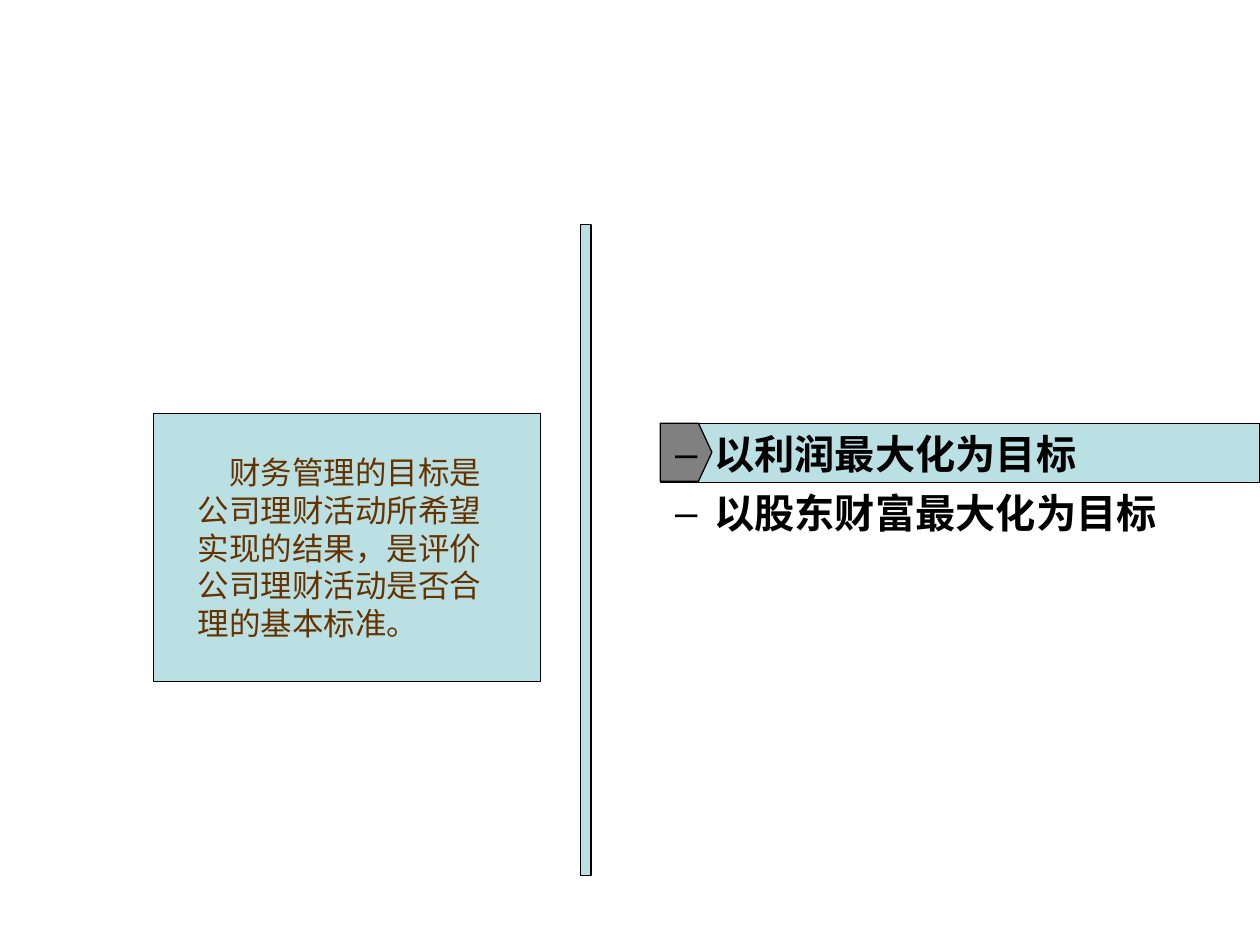
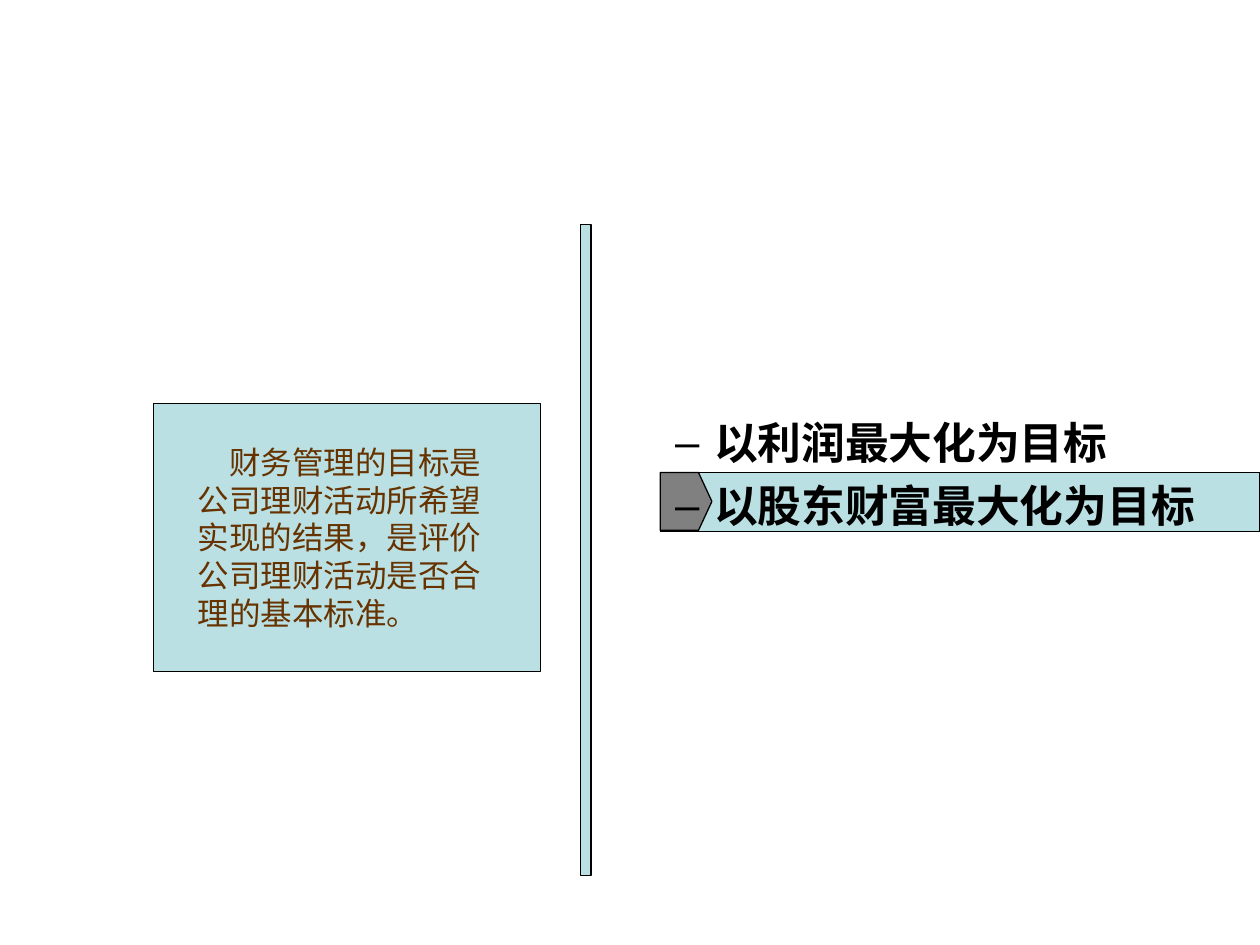
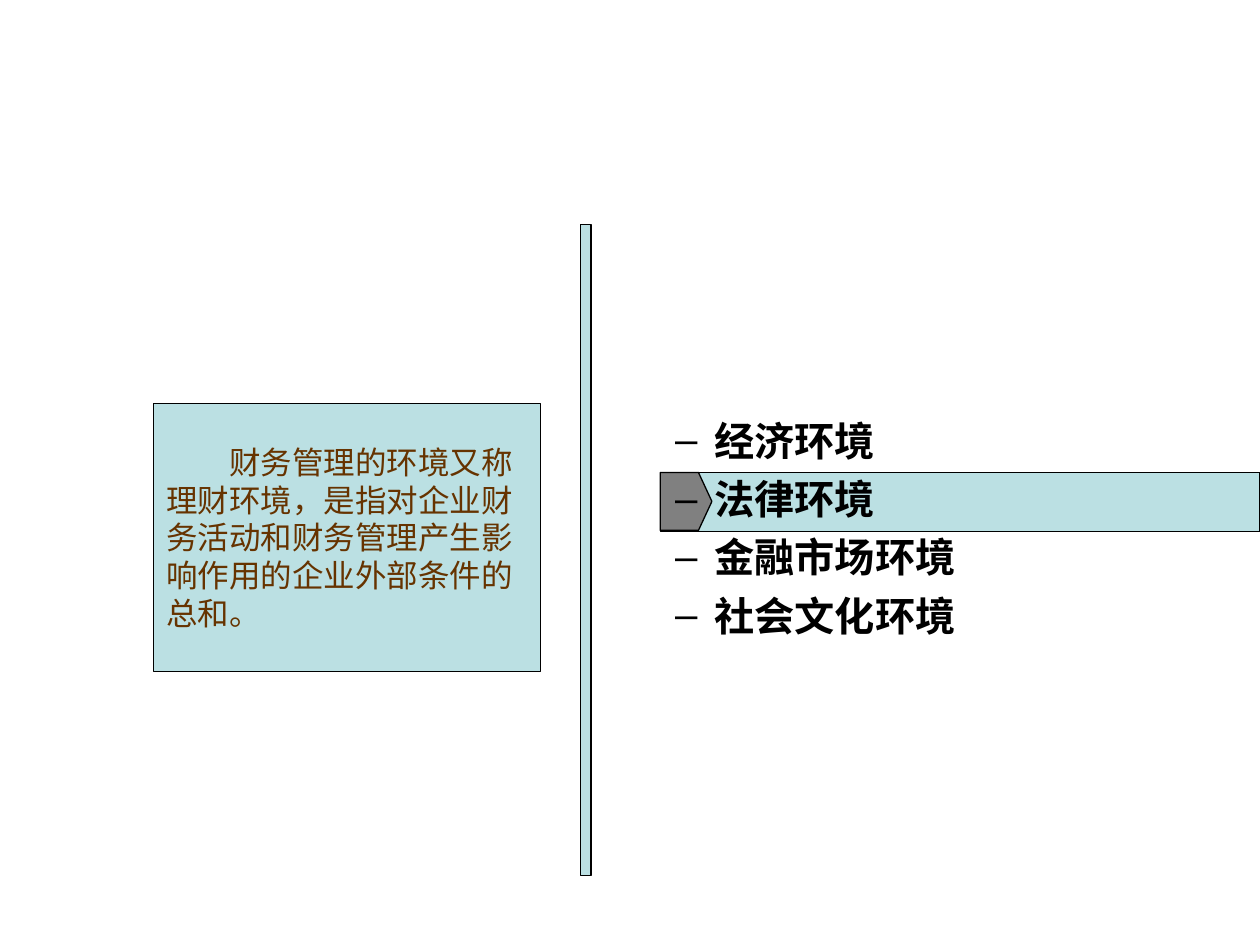
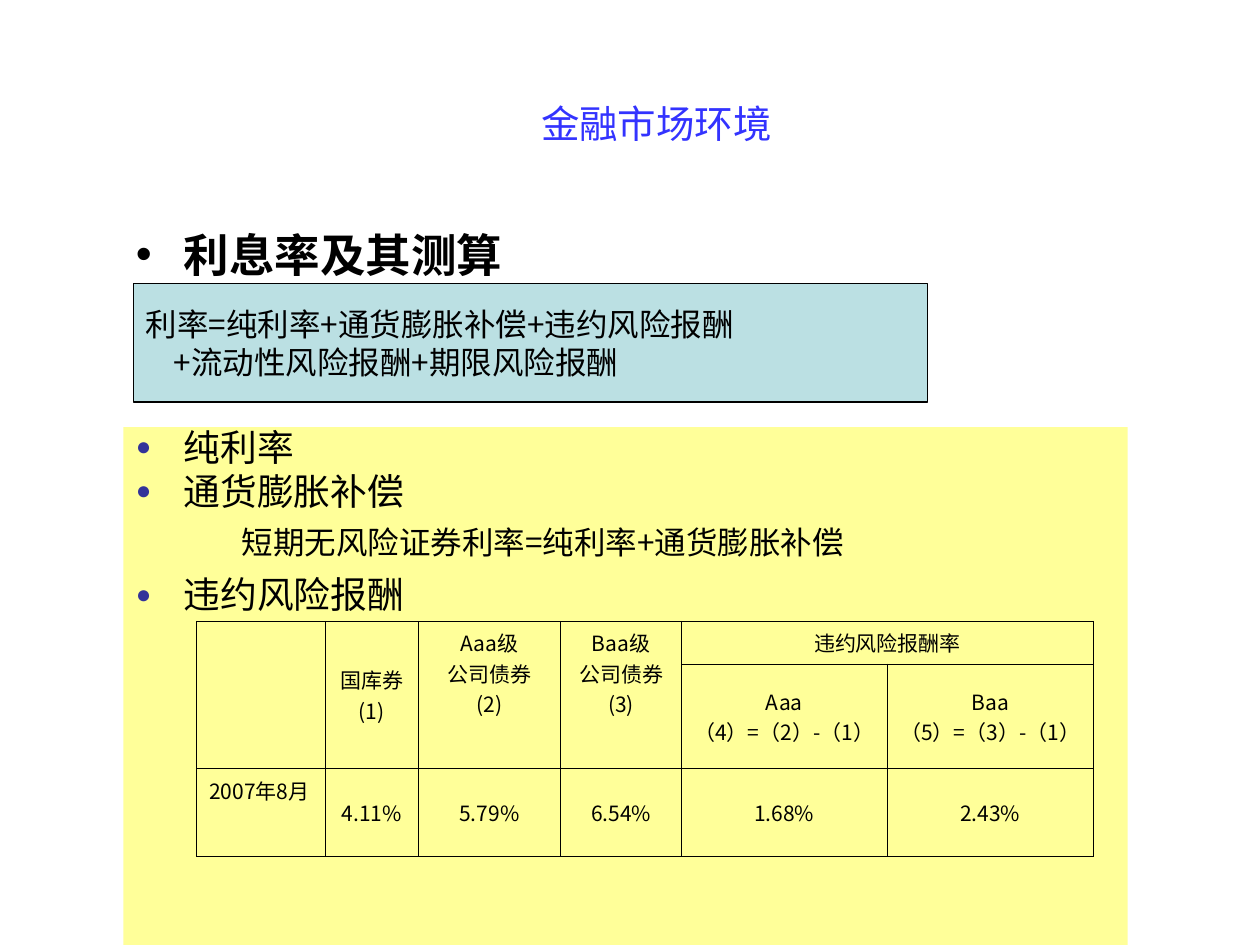
from dataclasses import dataclass

from lxml import etree
from pptx import Presentation
from pptx import util as u
from pptx.dml.color import RGBColor
from pptx.enum import shapes, text
from pptx.oxml import ns

# Shared look
TEAL, GREY, YELLOW = "BBE0E3", "808080", "FFFF99"
BLACK, BROWN, BLUE, NAVY = "000000", "663300", "3333FF", "333399"
LATIN, CJK = "Arial", "Noto Sans CJK SC"
RULE_WIDTH = u.Pt(0.75)


@dataclass
class Topic:
    """A slide with a definition on the left and a list on the right."""
    definition: list[str]
    margin: float        # left margin of the definition, inches
    card_top: float
    items: list[str]
    item_size: float
    list_top: float
    band_top: float      # highlight behind the current item


@dataclass
class Cell:
    row: int
    column: int
    lines: list[str]
    rows: int = 1
    columns: int = 1
    middle: bool = True
    centred: bool = True


def rgb(colour: str) -> RGBColor:
    return RGBColor.from_string(colour)


def add_panel(parent, left: float, top: float, width: float, height: float,
              fill: str = TEAL, outlined: bool = True,
              kind=shapes.MSO_SHAPE.RECTANGLE):
    """Draw a flat filled shape in a slide's or a group's shapes."""
    panel = parent.add_shape(kind, *map(u.Inches, (left, top, width, height)))
    panel.shadow.inherit = False
    panel.fill.solid()
    panel.fill.fore_color.rgb = rgb(fill)
    if outlined:
        panel.line.color.rgb = rgb(BLACK)
        panel.line.width = RULE_WIDTH
    else:
        panel.line.fill.background()
    panel.text_frame.word_wrap = True
    return panel


def add_box(page, left: float, top: float, width: float, height: float):
    box = page.shapes.add_textbox(*map(u.Inches, (left, top, width, height)))
    box.text_frame.word_wrap = True
    return box


def add_paragraph(frame, words: str, size: float, colour: str = BLACK,
                  font: str = LATIN, bold: bool = False, before: float = 0,
                  margin: float = 0, indent: float = 0, bullet: str = "",
                  bullet_colour: str = BLACK, bullet_size: int = 100,
                  align=text.PP_ALIGN.LEFT):
    """Fill the frame's empty first paragraph, or append a new one."""
    first = frame.paragraphs[0]
    para = frame.add_paragraph() if first.runs else first
    span = para.add_run()
    span.text = words
    para.alignment = align
    para.space_before = u.Pt(before)
    para.font.size = u.Pt(size)
    para.font.bold = bold
    para.font.name = font
    para.font.color.rgb = rgb(colour)
    # Runs carry the typeface for East Asian text
    if font == CJK:
        span.font.name = font
        east = etree.SubElement(span.font._element, ns.qn("a:ea"))
        east.set("typeface", font)
    # Indents and bullet come before the paragraph's default run properties
    properties = para._p.get_or_add_pPr()
    properties.set("marL", str(u.Inches(margin)))
    properties.set("indent", str(u.Inches(indent)))
    if bullet:
        defaults = properties.find(ns.qn("a:defRPr"))
        colour_part = etree.Element(ns.qn("a:buClr"))
        etree.SubElement(colour_part, ns.qn("a:srgbClr")).set("val", bullet_colour)
        size_part = etree.Element(ns.qn("a:buSzPct"))
        size_part.set("val", str(bullet_size * 1000))
        font_part = etree.Element(ns.qn("a:buFont"))
        font_part.set("typeface", LATIN)
        sign_part = etree.Element(ns.qn("a:buChar"))
        sign_part.set("char", bullet)
        for part in (colour_part, size_part, font_part, sign_part):
            defaults.addprevious(part)
    return para


def add_topic(deck, topic: Topic) -> None:
    page = deck.slides.add_slide(deck.slide_layouts[6])

    # Highlight band with its arrow marker
    highlight = page.shapes.add_group_shape().shapes
    add_panel(highlight, 5.24, topic.band_top, 4.76, 0.47)
    marker = add_panel(highlight, 5.24, topic.band_top, 0.41, 0.46, GREY,
                       kind=shapes.MSO_SHAPE.PENTAGON)
    marker.adjustments[0] = 0.26

    # List; the top inset lowers it to the middle of the page
    frame = add_box(page, 4.76, topic.list_top, 5.24, 5.15).text_frame
    frame.margin_top = u.Inches(1.55)
    for number, item in enumerate(topic.items):
        add_paragraph(frame, item, topic.item_size, bold=True,
                      before=topic.item_size / 4 if number else 0,
                      margin=0.81, indent=-0.31, bullet="–")

    # Divider and definition card
    add_panel(page.shapes, 4.61, 1.78, 0.08, 5.17)
    card = add_panel(page.shapes, 1.22, topic.card_top, 3.07, 2.13).text_frame
    card.vertical_anchor = text.MSO_ANCHOR.MIDDLE
    for number, line in enumerate(topic.definition):
        add_paragraph(card, line, 18, BROWN, margin=topic.margin,
                      indent=0 if number else 0.5 - topic.margin)


def add_borders(cell) -> None:
    properties = cell._tc.get_or_add_tcPr()
    for position, side in enumerate(("lnL", "lnR", "lnT", "lnB")):
        line = etree.Element(ns.qn(f"a:{side}"))
        line.set("w", str(u.Pt(0.45)))
        fill = etree.SubElement(line, ns.qn("a:solidFill"))
        etree.SubElement(fill, ns.qn("a:srgbClr")).set("val", BLACK)
        properties.insert(position, line)


def add_rate_table(page, cells: list[Cell]) -> None:
    widths = [1.02, 0.74, 1.13, 0.96, 1.63, 1.64]
    heights = [0.34, 0.83, 0.7]    # room for one, three and two lines
    table = page.shapes.add_table(
        len(heights), len(widths), u.Inches(1.56), u.Inches(4.93),
        u.Inches(sum(widths)), u.Inches(sum(heights))).table
    table.first_row = table.horz_banding = False
    for column, width in zip(table.columns, widths):
        column.width = u.Inches(width)
    for row, height in zip(table.rows, heights):
        row.height = u.Inches(height)
    for cell in table.iter_cells():
        cell.fill.background()
        add_borders(cell)
    for entry in cells:
        cell = table.cell(entry.row, entry.column)
        if entry.rows > 1 or entry.columns > 1:
            cell.merge(table.cell(entry.row + entry.rows - 1,
                                  entry.column + entry.columns - 1))
        if entry.middle:
            cell.vertical_anchor = text.MSO_ANCHOR.MIDDLE
        align = text.PP_ALIGN.CENTER if entry.centred else text.PP_ALIGN.LEFT
        for line in entry.lines:
            add_paragraph(cell.text_frame, line, 12, font=CJK, align=align)


def add_market_page(deck) -> None:
    page = deck.slides.add_slide(deck.slide_layouts[5])

    # Title, set slightly right of centre
    title = page.shapes.title
    title.left, title.top, title.width, title.height = map(
        u.Inches, (0.5, 0.3, 9, 1.25))
    title.text_frame.margin_left = u.Inches(0.52)
    title.text_frame.margin_top = u.Inches(0.15)
    title.text_frame.vertical_anchor = text.MSO_ANCHOR.MIDDLE
    add_paragraph(title.text_frame, "金融市场环境", 22, BLUE,
                  align=text.PP_ALIGN.CENTER)

    # Heading
    heading = add_box(page, 0.98, 1.75, 3.94, 5.23).text_frame
    add_paragraph(heading, "利息率及其测算", 26, bold=True, before=6.5,
                  margin=0.38, indent=-0.38, bullet="•")

    # Formula
    formula = add_panel(page.shapes, 1.06, 2.25, 6.3, 0.94).text_frame
    formula.vertical_anchor = text.MSO_ANCHOR.MIDDLE
    add_paragraph(formula, "利率=纯利率+通货膨胀补偿+违约风险报酬", 18, font=CJK)
    add_paragraph(formula, "+流动性风险报酬+期限风险报酬", 18, font=CJK, margin=0.22)

    # Components of the rate
    parts = add_panel(page.shapes, 0.98, 3.39, 7.97, 4.11, YELLOW,
                      outlined=False).text_frame
    parts.vertical_anchor = text.MSO_ANCHOR.TOP
    bulleted = dict(size=21, margin=0.38, indent=-0.38, bullet="●",
                    bullet_colour=NAVY, bullet_size=70)
    plain = dict(size=18, margin=0.84)
    for words, before, spacing, style in (
            ("纯利率", 5.2, 0.8, bulleted),
            ("通货膨胀补偿", 5.2, 0.8, bulleted),
            ("短期无风险证券利率=纯利率+通货膨胀补偿", 7.9, 0.9, plain),
            ("违约风险报酬", 9.1, 0.9, bulleted)):
        para = add_paragraph(parts, words, font=CJK, before=before, **style)
        para.line_spacing = spacing

    # Default risk premium table
    rates = ["4.11%", "5.79%", "6.54%", "1.68%", "2.43%"]
    add_rate_table(page, [
        Cell(0, 0, [], rows=2),
        Cell(0, 1, ["国库券", "(1)"], rows=2),
        Cell(0, 2, ["Aaa级", "公司债券", "(2)"], rows=2, middle=False),
        Cell(0, 3, ["Baa级", "公司债券", "(3)"], rows=2, middle=False),
        Cell(0, 4, ["违约风险报酬率"], columns=2, middle=False),
        Cell(1, 4, ["Aaa", "（4）=（2）-（1）"]),
        Cell(1, 5, ["Baa", "（5）=（3）-（1）"]),
        Cell(2, 0, ["2007年8月"], middle=False, centred=False),
        *(Cell(2, column, [rate]) for column, rate in enumerate(rates, 1)),
    ])


GOAL = ["财务管理的目标是", "公司理财活动所希望", "实现的结果，是评价",
        "公司理财活动是否合", "理的基本标准。"]
GOAL_ITEMS = ["以利润最大化为目标", "以股东财富最大化为目标"]
ENVIRONMENT = ["财务管理的环境又称", "理财环境，是指对企业财", "务活动和财务管理产生影",
               "响作用的企业外部条件的", "总和。"]
ENVIRONMENT_ITEMS = ["经济环境", "法律环境", "金融市场环境", "社会文化环境"]

deck = Presentation()
deck.slide_width, deck.slide_height = u.Inches(10), u.Inches(7.5)
for topic in (
        Topic(GOAL, 0.25, 3.28, GOAL_ITEMS, 23, 1.86, 3.36),
        Topic(GOAL, 0.25, 3.2, GOAL_ITEMS, 25, 1.75, 3.75),
        Topic(ENVIRONMENT, 0, 3.2, ENVIRONMENT_ITEMS, 23, 1.75, 3.75)):
    add_topic(deck, topic)
add_market_page(deck)
deck.save("out.pptx")
